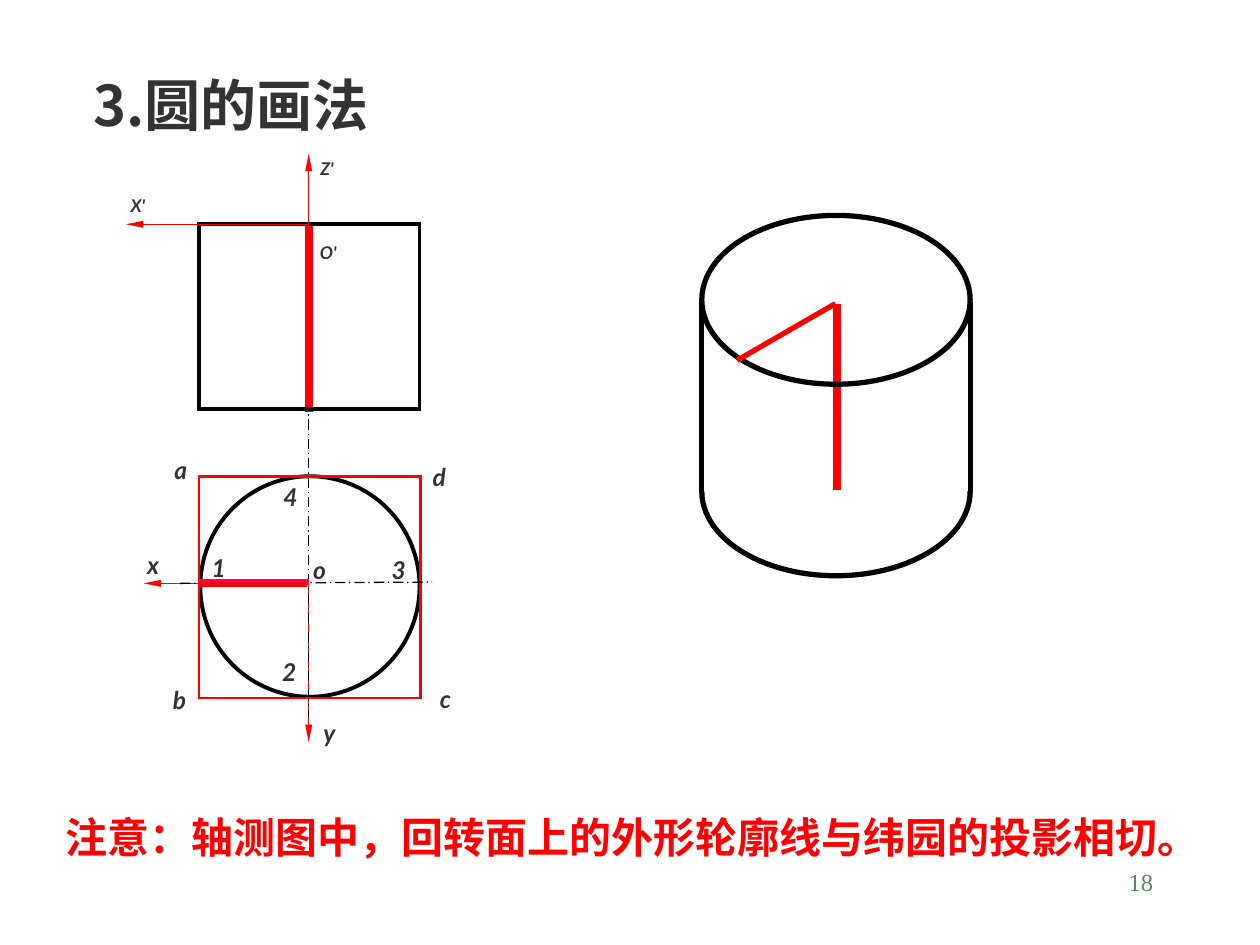
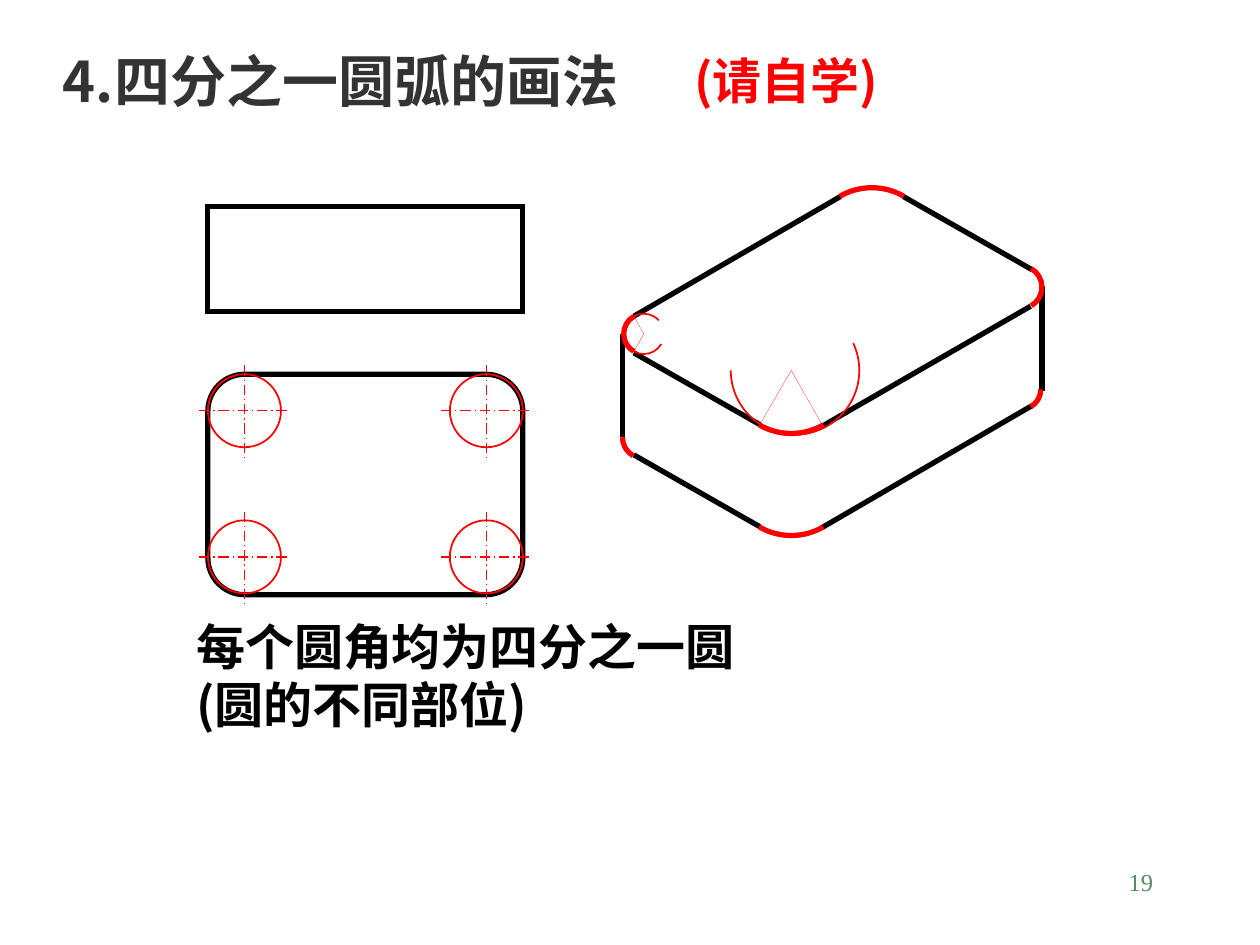
"""Build two slides on drawing circles and rounded corners in axonometric view."""
import pptx
import pptx.util
import pptx.dml.color
import pptx.enum.dml
import pptx.enum.shapes
import pptx.enum.text
import pptx.oxml.ns
from lxml import etree

Inches = pptx.util.Inches
MSO = pptx.enum.shapes.MSO_SHAPE
ALIGN = pptx.enum.text.PP_ALIGN
ANCHOR = pptx.enum.text.MSO_ANCHOR
qn = pptx.oxml.ns.qn
COLORS = {"ink": "000000", "red": "FF0000", "pink": "FF0066", "gray": "333333", "page": "578963"}
CJK, LATIN, SERIF = "Noto Sans CJK SC", "Lato", "Times New Roman"


def stroke(s, kind, box, color, width, dash=False, arrow=False, angles=()):
    """Draw a line from end to end (kind None) or an unfilled shape in a box."""
    a, b, c, d = [Inches(v) for v in box]
    if kind is None:
        sp = s.shapes.add_connector(pptx.enum.shapes.MSO_CONNECTOR.STRAIGHT, a, b, c, d)
        etree.SubElement(sp._element.spPr, qn("a:effectLst"))
    else:
        sp = s.shapes.add_shape(kind, a, b, c, d)
        sp.shadow.inherit = False
        sp.fill.background()
        for i, angle in enumerate(angles):
            sp.adjustments[i] = angle * 0.6
    sp.line.color.rgb = pptx.dml.color.RGBColor.from_string(COLORS[color])
    sp.line.width = pptx.util.Pt(width)
    if dash:
        sp.line.dash_style = pptx.enum.dml.MSO_LINE.LONG_DASH_DOT
    ln = sp.line._get_or_add_ln()
    etree.SubElement(ln, qn("a:miter"), lim="800000")
    if arrow:
        etree.SubElement(ln, qn("a:tailEnd"), type="triangle", w="sm", len="lg")
    return sp


def add_text(s, box, paragraphs, size, color, font=CJK, bold=True, italic=False,
             align=ALIGN.LEFT, anchor=ANCHOR.MIDDLE, margin=0.1):
    """Add a text box holding one list of runs for each paragraph."""
    tf = s.shapes.add_textbox(*[Inches(v) for v in box]).text_frame
    tf.word_wrap = True
    tf.vertical_anchor = anchor
    tf.margin_left = tf.margin_right = Inches(margin)
    for i, runs in enumerate(paragraphs):
        p = tf.paragraphs[0] if i == 0 else tf.add_paragraph()
        p.alignment = align
        for text in runs:
            r = p.add_run()
            r.text = text
            r.font.name = font
            r.font.size = pptx.util.Pt(size)
            r.font.bold = bold
            r.font.italic = italic
            r.font.color.rgb = pptx.dml.color.RGBColor.from_string(COLORS[color])
            etree.SubElement(r._r.get_or_add_rPr(), qn("a:ea"), typeface=CJK)


prs = pptx.Presentation()
prs.slide_width, prs.slide_height = Inches(10), Inches(7.5)
titles = [("3.圆的画法", (0.64, 0.51, 9.36, 0.63)), ("4.四分之一圆弧的画法", (0.4, 0.32, 9.6, 0.63))]
slides = []
for number, (title, box) in enumerate(titles, 18):
    s = prs.slides.add_slide(prs.slide_layouts[6])
    add_text(s, (7.17, 6.83, 2.08, 0.5), [[str(number)]], 14, "page", SERIF, bold=False,
             align=ALIGN.RIGHT, anchor=ANCHOR.TOP)
    add_text(s, box, [[title]], 32, "gray")
    slides.append(s)
circle_slide, corner_slide = slides

s = circle_slide
for end in [(1.14, 4.63), (2.45, 5.89)]:
    stroke(s, None, (2.45, 4.63) + end, "red", 0.75, arrow=True)
stroke(s, None, (2.45, 1.64, 2.45, 5.69), "ink", 0.75, dash=True)
stroke(s, MSO.OVAL, (1.59, 3.78, 1.74, 1.75), "ink", 2.25)
stroke(s, MSO.RECTANGLE, (1.58, 3.78, 1.76, 1.76), "red", 1.5)
stroke(s, None, (1.58, 4.62, 2.45, 4.62), "pink", 3)
for x in (5.57, 7.7):
    stroke(s, None, (x, 2.4, x, 3.91), "ink", 3)
for x, top in [(6.64, 2.41), (2.45, 1.79)]:
    stroke(s, None, (x, top, x, top + 1.48), "red", 4.5)
stroke(s, None, (1.43, 4.63, 3.43, 4.62), "ink", 0.75, dash=True)
stroke(s, MSO.RECTANGLE, (1.58, 1.78, 1.75, 1.47), "ink", 2.25)
stroke(s, MSO.ARC, (5.57, 3.23, 2.13, 1.34), "ink", 3, angles=(0, 180))
stroke(s, MSO.OVAL, (5.57, 1.71, 2.13, 1.34), "ink", 3)
for end in [(2.45, 1.22), (1, 1.78)]:
    stroke(s, None, (2.45, 1.78) + end, "red", 0.75, arrow=True)
for radius in [(1.58, 4.64, 2.44, 4.64), (6.63, 2.41, 5.85, 2.86)]:
    stroke(s, None, radius, "red", 3)

point_labels = [
    ("x", 1.07, 4.32), ("o", 2.39, 4.36), ("y", 2.47, 5.65),
    ("a", 1.29, 3.56), ("b", 1.28, 5.39), ("c", 3.39, 5.38), ("d", 3.34, 3.62),
    ("1", 1.59, 4.34), ("2", 2.15, 5.17), ("3", 3.02, 4.36), ("4", 2.16, 3.78),
]
axis_labels = [("O'", 2.46, 1.84), ("X'", 0.95, 1.47), ("Z'", 2.45, 1.17)]
for labels, size in [(point_labels, 14), (axis_labels, 10)]:
    for text, x, y in labels:
        add_text(s, (x, y, 0.29, 0.33), [[text]], size, "gray", LATIN, italic=True,
                 align=ALIGN.CENTER, margin=0)
add_text(s, (0.42, 6.39, 9.36, 0.5), [["注意：轴测图中，回转面上的外形轮廓线与纬园的投影相切。"]], 24, "red")

s = corner_slide
add_text(s, (5.41, 0.35, 4.59, 0.57), [["(请自学)"]], 28, "red")
plan = stroke(s, MSO.ROUNDED_RECTANGLE, (1.65, 2.97, 2.5, 1.75), "ink", 3)
plan.adjustments[0] = 0.167
stroke(s, MSO.RECTANGLE, (1.65, 1.64, 2.5, 0.83), "ink", 3)
for cx in (1.94, 3.86):
    for cy in (3.26, 4.42):
        stroke(s, MSO.OVAL, (cx - 0.29, cy - 0.29, 0.58, 0.58), "red", 1)
        stroke(s, None, (cx - 0.36, cy, cx + 0.34, cy), "red", 0.75, dash=True)
        stroke(s, None, (cx, cy - 0.36, cx, cy + 0.38), "red", 0.75, dash=True)
add_text(s, (1.46, 4.84, 8.54, 1.03), [["每个圆角均为", "四分之一圆"], ["(圆的不同部位)"]], 28, "ink",
         anchor=ANCHOR.TOP)

block_edges = [
    (8.27, 2.27, 8.27, 3.1), (4.94, 2.65, 4.94, 3.47),
    (6.53, 3.38, 8.18, 2.43), (5.03, 2.8, 6.03, 3.37),
    (7.17, 1.56, 8.19, 2.14), (5.03, 2.51, 6.67, 1.56),
    (6.52, 4.19, 8.19, 3.22), (5.03, 3.61, 6.03, 4.18),
]
for edge in block_edges:
    stroke(s, None, edge, "ink", 3)
corner_arcs = [
    (5.11, 2.65, 0.16, 120, 240, 3), (6.28, 2.93, 0.51, 60, 120, 3),
    (8.1, 2.28, 0.17, 300, 60, 3), (6.92, 2, 0.51, 240, 300, 3),
    (5.11, 3.47, 0.17, 120, 180, 3), (6.28, 3.74, 0.51, 60, 120, 3),
    (8.1, 3.09, 0.16, 0, 60, 3),
    (6.31, 2.94, 0.51, 335, 180, 1), (5.11, 2.65, 0.16, 30, 318, 1),
]
for cx, cy, radius, start, end, width in corner_arcs:
    stroke(s, MSO.ARC, (cx - radius, cy - radius, 2 * radius, 2 * radius), "red", width,
           angles=(start, end))
for center, ends in [((5.11, 2.65), [(5.03, 2.51), (5.03, 2.79)]),
                     ((6.28, 2.94), [(6.53, 3.38), (6.03, 3.37)])]:
    for end in ends:
        stroke(s, None, end + center, "red", 0.1)

prs.save("out.pptx")
